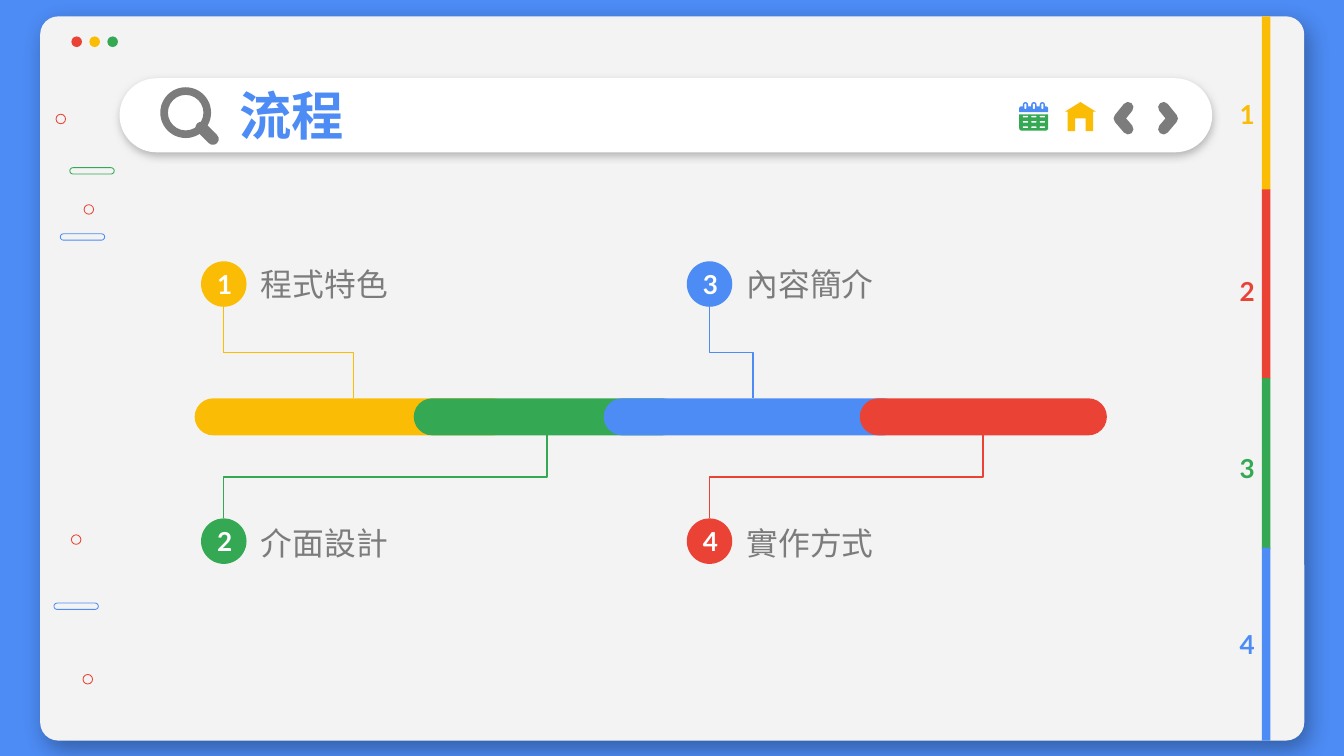
from lxml.etree import SubElement
from pptx import Presentation
from pptx.dml.color import RGBColor
from pptx.enum.shapes import MSO_CONNECTOR, MSO_SHAPE
from pptx.enum.text import MSO_ANCHOR, PP_ALIGN
from pptx.oxml.ns import qn
from pptx.util import Cm, Pt

BLUE = RGBColor(0x4D, 0x8C, 0xF5)
RED = RGBColor(0xEA, 0x43, 0x35)
YELLOW = RGBColor(0xFB, 0xBC, 0x05)
GREEN = RGBColor(0x34, 0xA8, 0x53)
GRAY = RGBColor(0x7C, 0x7C, 0x7C)
PALE = RGBColor(0xF3, 0xF3, 0xF3)
WHITE = RGBColor(0xFF, 0xFF, 0xFF)
BLACK = RGBColor(0, 0, 0)
ROUND, OVAL = MSO_SHAPE.ROUNDED_RECTANGLE, MSO_SHAPE.OVAL

deck = Presentation()
deck.slide_width, deck.slide_height = Cm(25.4), Cm(14.29)
slide = deck.slides.add_slide(deck.slide_layouts[6])
shapes = slide.shapes
slide.background.fill.solid()
slide.background.fill.fore_color.rgb = BLUE


def draw(kind, x, y, w, h, fill=None, line=None, bend=None):
    """Add a preset shape; without a fill it is a thin outline."""
    shape = shapes.add_shape(kind, Cm(x), Cm(y), Cm(w), Cm(h))
    shape.shadow.inherit = False
    if fill is None:
        shape.fill.background()
        shape.line.color.rgb = line
        shape.line.width = Pt(0.44)
    else:
        shape.fill.solid()
        shape.fill.fore_color.rgb = fill
        shape.line.fill.background()
    if bend is not None:
        shape.adjustments[0] = bend
    return shape


def write(shape, text, size, color, bold=True, align=PP_ALIGN.LEFT, left=0.25):
    frame = shape.text_frame
    frame.word_wrap = True
    frame.vertical_anchor = MSO_ANCHOR.MIDDLE
    frame.margin_left = Cm(left)
    frame.margin_right = frame.margin_top = frame.margin_bottom = Cm(0.25)
    para = frame.paragraphs[0]
    para.alignment = align
    run = para.add_run()
    run.text = text
    font = run.font
    font.name, font.size, font.bold = "Lato", Pt(size), bold
    font.color.rgb = color


# Window and search bar
panel = draw(ROUND, 0.76, 0.31, 23.89, 13.69, PALE, bend=0.025)
search = draw(ROUND, 2.26, 1.48, 20.65, 1.4, WHITE, bend=0.5)
for shape, color, alpha, blur, dist, angle in [
    (panel, BLACK, 32, 12.4, 5.2, 57),
    (search, GRAY, 50, 4.5, 1.5, 90),
]:
    effects = shape._element.spPr.find(qn("a:effectLst"))
    shade = SubElement(effects, qn("a:outerShdw"), blurRad=str(Pt(blur)),
                       dist=str(Pt(dist)), dir=str(angle * 60000),
                       algn="bl", rotWithShape="0")
    tint = SubElement(shade, qn("a:srgbClr"), val=str(color))
    SubElement(tint, qn("a:alpha"), val=str(alpha * 1000))

draw(MSO_SHAPE.DONUT, 3.03, 1.65, 0.96, 0.96, GRAY, bend=0.15)
draw(ROUND, 3.65, 2.41, 0.53, 0.22, GRAY, bend=0.5).rotation = 45

# Window buttons and margin ornaments
for i, color in enumerate([RED, YELLOW, GREEN]):
    draw(OVAL, 1.35 + 0.34 * i, 0.69, 0.2, 0.2, color)
for x, y in [(1.35, 10.11), (1.59, 3.87), (1.06, 2.16), (1.57, 12.75)]:
    draw(OVAL, x, y, 0.18, 0.18, line=RED)
for x, y, color in [(1.14, 4.42, BLUE), (1.02, 11.4, BLUE), (1.32, 3.17, GREEN)]:
    draw(ROUND, x, y, 0.84, 0.12, line=color, bend=0.5)

title = shapes.add_textbox(Cm(4.27), Cm(1.5), Cm(18.01), Cm(1.32))
write(title, "流程", 28, BLUE)

# Steps: bar, elbow, numbered dot and label; odd steps sit above the bar
steps = [
    ("程式特色", YELLOW, 3.68, 5.99, 6.68),
    ("介面設計", GREEN, 7.82, 5.05, 10.34),
    ("內容簡介", BLUE, 11.41, 5.64, 14.23),
    ("實作方式", RED, 16.25, 4.67, 18.58),
]
TOP, HIGH, SIZE = 7.53, 0.7, 0.86
for i, (text, color, x, wide, end) in enumerate(steps):
    draw(ROUND, x, TOP, wide, HIGH, color, bend=0.5)
    above = i % 2 == 0
    left = 3.8 if i < 2 else 12.98
    y = 4.94 if above else 9.8
    dot = draw(OVAL, left, y, SIZE, SIZE, color)
    write(dot, str(i + 1), 14, WHITE, left=0.18)
    label = shapes.add_textbox(Cm(left + 0.88), Cm(4.83 if above else 9.73),
                               Cm(7.59), Cm(1.07))
    write(label, text, 17, GRAY, bold=False)

    # The elbow is laid on its side, then turned so that it leaves the dot upright
    start = left + SIZE / 2
    near, far = (y + SIZE, TOP) if above else (TOP + HIGH, y)
    midx, midy = (start + end) / 2, (near + far) / 2
    halfx, halfy = (far - near) / 2, (end - start) / 2
    if above:
        halfx = -halfx
    link = shapes.add_connector(MSO_CONNECTOR.ELBOW,
                                Cm(midx - halfx), Cm(midy - halfy),
                                Cm(midx + halfx), Cm(midy + halfy))
    link.line.color.rgb = color
    link.line.width = Pt(0.75)
    props = link._element.spPr
    props.xfrm.set("rot", str(270 * 60000))
    SubElement(props, qn("a:effectLst"))

# Calendar
draw(MSO_SHAPE.ROUND_2_SAME_RECTANGLE, 19.26, 2.16, 0.55, 0.31, GREEN).rotation = 180
draw(MSO_SHAPE.ROUND_2_SAME_RECTANGLE, 19.26, 2.01, 0.55, 0.11, BLUE, bend=0.4)
for i in range(3):
    x = 19.33 + 0.16 * i
    draw(ROUND, x, 1.93, 0.1, 0.18, BLUE, bend=0.5)
    draw(ROUND, x + 0.03, 1.96, 0.04, 0.1, WHITE, bend=0.5)
    for j in range(3):
        draw(ROUND, x, 2.19 + 0.1 * j, 0.1, 0.03, WHITE, bend=0.5)

# Home
points = [(20.13, 2.11), (20.18, 2.11), (20.18, 2.48), (20.32, 2.48),
          (20.32, 2.24), (20.52, 2.24), (20.52, 2.48), (20.66, 2.48),
          (20.66, 2.11), (20.71, 2.11)]
maker = shapes.build_freeform(Cm(20.42), Cm(1.93))
maker.add_line_segments([(Cm(x), Cm(y)) for x, y in points])
home = maker.convert_to_shape()
home.shadow.inherit = False
home.fill.solid()
home.fill.fore_color.rgb = YELLOW
home.line.fill.background()

# Back and forward arrows
for base, tip in [(21.32, 21.15), (21.99, 22.16)]:
    maker = shapes.build_freeform(Cm(base), Cm(2.03))
    maker.add_line_segments([(Cm(tip), Cm(2.24)), (Cm(base), Cm(2.44))], close=False)
    arrow = maker.convert_to_shape()
    arrow.shadow.inherit = False
    arrow.fill.background()
    arrow.line.color.rgb = GRAY
    arrow.line.width = Pt(5.8)
    stroke = arrow.line._get_or_add_ln()
    stroke.set("cap", "rnd")
    SubElement(stroke, qn("a:round"))

# Page tabs
tabs = [(YELLOW, 0.31, 3.28), (RED, 3.58, 3.58), (GREEN, 7.15, 3.23), (BLUE, 10.35, 3.65)]
for i, (color, y, high) in enumerate(tabs):
    draw(MSO_SHAPE.RECTANGLE, 23.85, y, 0.16, high, color)
    mark = shapes.add_textbox(Cm(22.96), Cm(1.83 + 3.34 * i), Cm(1.22), Cm(0.66))
    write(mark, str(i + 1), 14, color, align=PP_ALIGN.CENTER)

deck.save("out.pptx")
